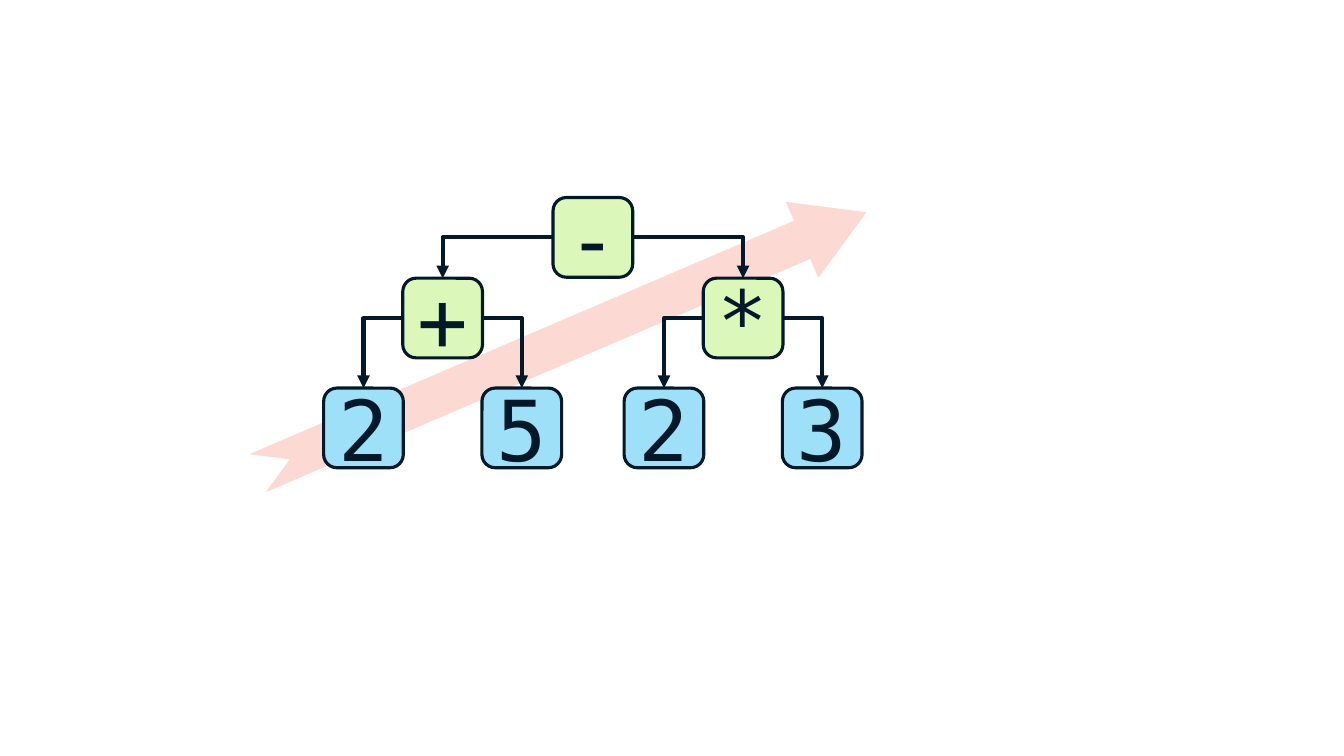
from pptx import Presentation
from pptx.dml.color import RGBColor
from pptx.enum.shapes import MSO_CONNECTOR, MSO_SHAPE
from pptx.enum.text import MSO_ANCHOR, PP_ALIGN
from pptx.oxml.ns import qn
from pptx.util import Inches, Pt
from lxml.etree import SubElement

# Content: each operator holds its left and right operands
TREE = ("-", [("+", ["2", "5"]), ("*", ["2", "3"])])

LEAF_LEFTS = [3.21, 4.78, 6.19, 7.76]
LEVEL_TOPS = [1.96, 2.76, 3.85]
NODE_SIZE = 0.79
INK, GREEN, BLUE, PINK = "031828", "DCF7BA", "9EE0F8", "FCD9D3"
FONT = "DejaVu Sans Mono"
TOP, LEFT, RIGHT = 0, 1, 3


def color(hex_value):
    return RGBColor.from_string(hex_value)


def add_filled(page, kind, bounds, fill):
    shape = page.shapes.add_shape(kind, *[Inches(value) for value in bounds])
    shape.shadow.inherit = False
    shape.fill.solid()
    shape.fill.fore_color.rgb = color(fill)
    return shape


def add_node(page, symbol, left, level, fill):
    bounds = (left, LEVEL_TOPS[level], NODE_SIZE, NODE_SIZE)
    node = add_filled(page, MSO_SHAPE.ROUNDED_RECTANGLE, bounds, fill)
    node.line.color.rgb = color(INK)
    node.line.width = Pt(2.25)
    node.text_frame.vertical_anchor = MSO_ANCHOR.MIDDLE
    para = node.text_frame.paragraphs[0]
    para.text = symbol
    para.alignment = PP_ALIGN.CENTER
    para.font.name = FONT
    para.font.size = Pt(60)
    para.font.color.rgb = color(INK)
    return node


def add_branch(page, parent, child, side):
    branch = page.shapes.add_connector(MSO_CONNECTOR.ELBOW, 0, 0, 0, 0)
    branch.begin_connect(parent, side)
    branch.end_connect(child, TOP)
    branch.line.color.rgb = color(INK)
    branch.line.width = Pt(3)
    properties = branch._element.spPr
    # One bend: sideways, then down
    properties.find(qn("a:prstGeom")).set("prst", "bentConnector2")
    if side == LEFT:
        # A half turn plus a vertical flip mirrors the bend to the left
        frame = properties.find(qn("a:xfrm"))
        frame.attrib.pop("flipH", None)
        frame.set("rot", "10800000")
        frame.set("flipV", "1")
    SubElement(branch.line._get_or_add_ln(), qn("a:tailEnd"), type="triangle")
    SubElement(properties, qn("a:effectLst"))


def add_tree(page, tree, leaf_lefts, level=0):
    """Draw a subtree, each parent centred over its children."""
    if isinstance(tree, str):
        return add_node(page, tree, next(leaf_lefts), level, BLUE)
    symbol, operands = tree
    children = [add_tree(page, operand, leaf_lefts, level + 1) for operand in operands]
    left = sum(child.left.inches for child in children) / len(children)
    parent = add_node(page, symbol, left, level, GREEN)
    for child, side in zip(children, (LEFT, RIGHT)):
        add_branch(page, parent, child, side)
    return parent


def main():
    deck = Presentation()
    deck.slide_width, deck.slide_height = Inches(13.33), Inches(7.5)
    page = deck.slides.add_slide(deck.slide_layouts[6])

    # Evaluation direction behind the tree
    arrow = add_filled(page, MSO_SHAPE.NOTCHED_RIGHT_ARROW, (2.29, 2.99, 6.57, 0.82), PINK)
    arrow.line.fill.background()
    arrow.adjustments[0] = 0.5
    arrow.adjustments[1] = 0.847
    arrow.rotation = 336.8

    # Expression tree
    add_tree(page, TREE, iter(LEAF_LEFTS))
    deck.save("out.pptx")


if __name__ == "__main__":
    main()
